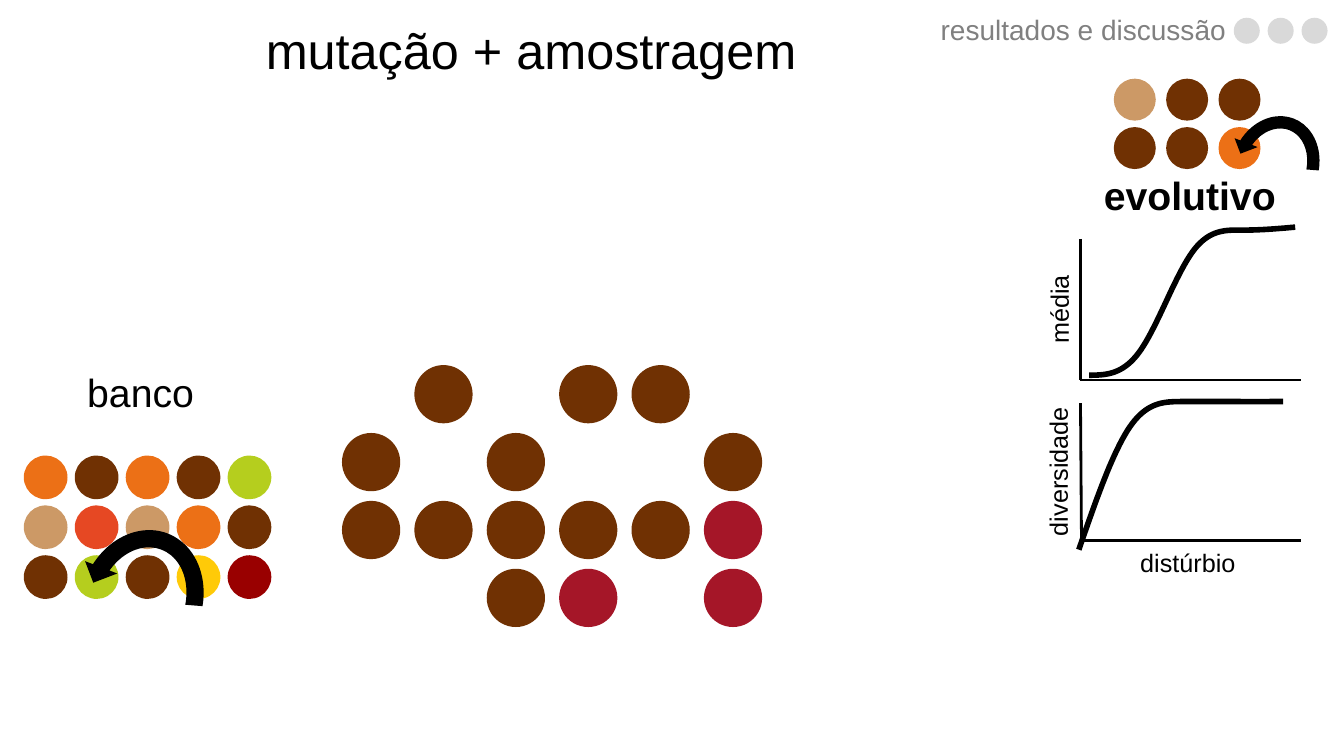
from lxml import etree
from pptx import Presentation
from pptx import util as u
from pptx.chart import data as chart_data
from pptx.dml import color
from pptx.enum import chart as chart_types, shapes, text
from pptx.oxml import parse_xml, ns

BLACK = "000000"
COLORS = {"B": "703103", "T": "CC9966", "O": "EC7016", "C": "A51628", "V": "E64823",
          "L": "B5CE1E", "Y": "FFCA08", "D": "990000", "G": "D9D9D9"}


def paint(target, value):
    target.solid()
    target.fore_color.rgb = color.RGBColor.from_string(value)


def write(shape, words, size, value=BLACK, align=text.PP_ALIGN.CENTER,
          anchor=text.MSO_ANCHOR.MIDDLE, spacing=0.9, bold=False):
    frame = shape.text_frame
    frame.word_wrap = True
    frame.auto_size = text.MSO_AUTO_SIZE.NONE
    frame.vertical_anchor = anchor
    paragraph = frame.paragraphs[0]
    paragraph.alignment = align
    paragraph.line_spacing = spacing
    run = paragraph.add_run()
    run.text = words
    run.font.name = "Arial"
    run.font.size = u.Pt(size)
    run.font.bold = bold
    paint(run.font.fill, value)


presentation = Presentation()
presentation.slide_width = u.Pt(960)
presentation.slide_height = u.Pt(540)
slide = presentation.slides.add_slide(presentation.slide_layouts[5])

title = slide.shapes.title
title.left, title.top, title.width, title.height = u.Pt(107.3), u.Pt(15.1), u.Pt(544.3), u.Pt(48.2)
write(title, "mutação + amostragem", 36, anchor=text.MSO_ANCHOR.TOP)

circle_grids = [
    (["TBB", "BBO"], 795.6, 56.2, 37.4, 34.6, 30),
    (["GGG"], 881.3, 12.7, 24.2, 0, 18.6),
    ([" B BB ", "B B  B", "BBBBBC", "  BC C"], 244.3, 260.8, 51.7, 48.5, 41.6),
    (["OBOBL", "TVTOB", "BLBYD"], 17, 325.4, 36.4, 35.6, 31.2),
]
for rows, left, top, step_x, step_y, size in circle_grids:
    for row, letters in enumerate(rows):
        for column, letter in enumerate(letters):
            if letter == " ":
                continue
            circle = slide.shapes.add_shape(
                shapes.MSO_SHAPE.OVAL, u.Pt(left + column * step_x),
                u.Pt(top + row * step_y), u.Pt(size), u.Pt(size))
            circle.shadow.inherit = False
            paint(circle.fill, COLORS[letter])
            circle.line.fill.background()

for left, top, width, height in [(875.5, 77.8, 70.6, 82.8), (51.8, 371.5, 98.6, 115.9)]:
    arrow = slide.shapes.add_shape(shapes.MSO_SHAPE.CIRCULAR_ARROW,
                                   u.Pt(left), u.Pt(top), u.Pt(width), u.Pt(height))
    arrow.shadow.inherit = False
    for index, value in enumerate([0.125, 11.423, 204.577, 117.73, 0.125]):
        arrow.adjustments[index] = value
    arrow.rotation = 200.9
    arrow._element.spPr.find(ns.qn("a:xfrm")).set("flipV", "1")
    paint(arrow.fill, BLACK)
    arrow.line.fill.background()

curves = [
    ([0, 17, 83, 98, 100], 753.8, 141.1, 193.7),
    ([0, 83, 100, 100, 100], 746.6, 265.7, 192.2),
]
for values, left, top, width in curves:
    data = chart_data.CategoryChartData()
    data.categories = ["1", "2", "3", "4", "5"]
    data.add_series("Series 1", values)
    chart = slide.shapes.add_chart(chart_types.XL_CHART_TYPE.LINE, u.Pt(left), u.Pt(top),
                                   u.Pt(width), u.Pt(129.6), data).chart
    chart.has_legend = False
    chart.has_title = False
    chart.font.name = "Calibri"
    chart.font.size = u.Pt(10)
    paint(chart.font.fill, BLACK)
    chart.category_axis.visible = False
    chart.value_axis.visible = False
    chart.value_axis.has_major_gridlines = False
    chart.value_axis.minimum_scale = 0
    chart.value_axis.maximum_scale = 120
    plot = chart.plots[0]
    plot.vary_by_categories = False
    series = plot.series[0]
    series.smooth = True
    series.marker.style = chart_types.XL_MARKER_STYLE.NONE
    series.format.line.width = u.Pt(4)
    paint(series.format.line.fill, BLACK)
    plot_area = chart._chartSpace.chart.plotArea
    for old_layout in plot_area.findall(ns.qn("c:layout")):
        plot_area.remove(old_layout)
    plot_area.insert(0, parse_xml(
        f'<c:layout {ns.nsdecls("c")}><c:manualLayout><c:layoutTarget val="inner"/>'
        '<c:xMode val="edge"/><c:yMode val="edge"/><c:x val="0.03"/><c:y val="0"/>'
        '<c:w val="0.95"/><c:h val="0.98"/></c:manualLayout></c:layout>'))

axis_lines = [(771.8, 271.4, 929.5, 271.4), (771.8, 170.6, 771.8, 271.4),
              (771.8, 385.9, 929.5, 385.9), (771.8, 288, 772.5, 385.9)]
for ends in axis_lines:
    axis = slide.shapes.add_connector(shapes.MSO_CONNECTOR.STRAIGHT, *map(u.Pt, ends))
    axis.line.width = u.Pt(2)
    paint(axis.line.fill, BLACK)
    etree.SubElement(axis._element.spPr, ns.qn("a:effectLst"))

axis_labels = [("média", 685.4, 202.3, 270), ("diversidade", 684.7, 318.2, 270),
               ("distúrbio", 777.6, 383, 0)]
for words, left, top, rotation in axis_labels:
    label = slide.shapes.add_textbox(u.Pt(left), u.Pt(top), u.Pt(141.8), u.Pt(37.4))
    label.rotation = rotation
    frame = label.text_frame
    frame.margin_left = frame.margin_right = u.Pt(11.5)
    frame.margin_top = frame.margin_bottom = u.Pt(7.9)
    write(label, words, 18, anchor=text.MSO_ANCHOR.TOP, spacing=1.0)

for words, left, top, bold in [("evolutivo", 750.2, 89.3, True), ("banco", 0.7, 229.7, False)]:
    heading = slide.shapes.add_textbox(u.Pt(left), u.Pt(top), u.Pt(199.4), u.Pt(104.4))
    write(heading, words, 28, bold=bold)

section = slide.shapes.add_textbox(u.Pt(560.2), u.Pt(5.8), u.Pt(322.6), u.Pt(33.8))
write(section, "resultados e discussão", 20, "808080", text.PP_ALIGN.RIGHT)

presentation.save("out.pptx")
